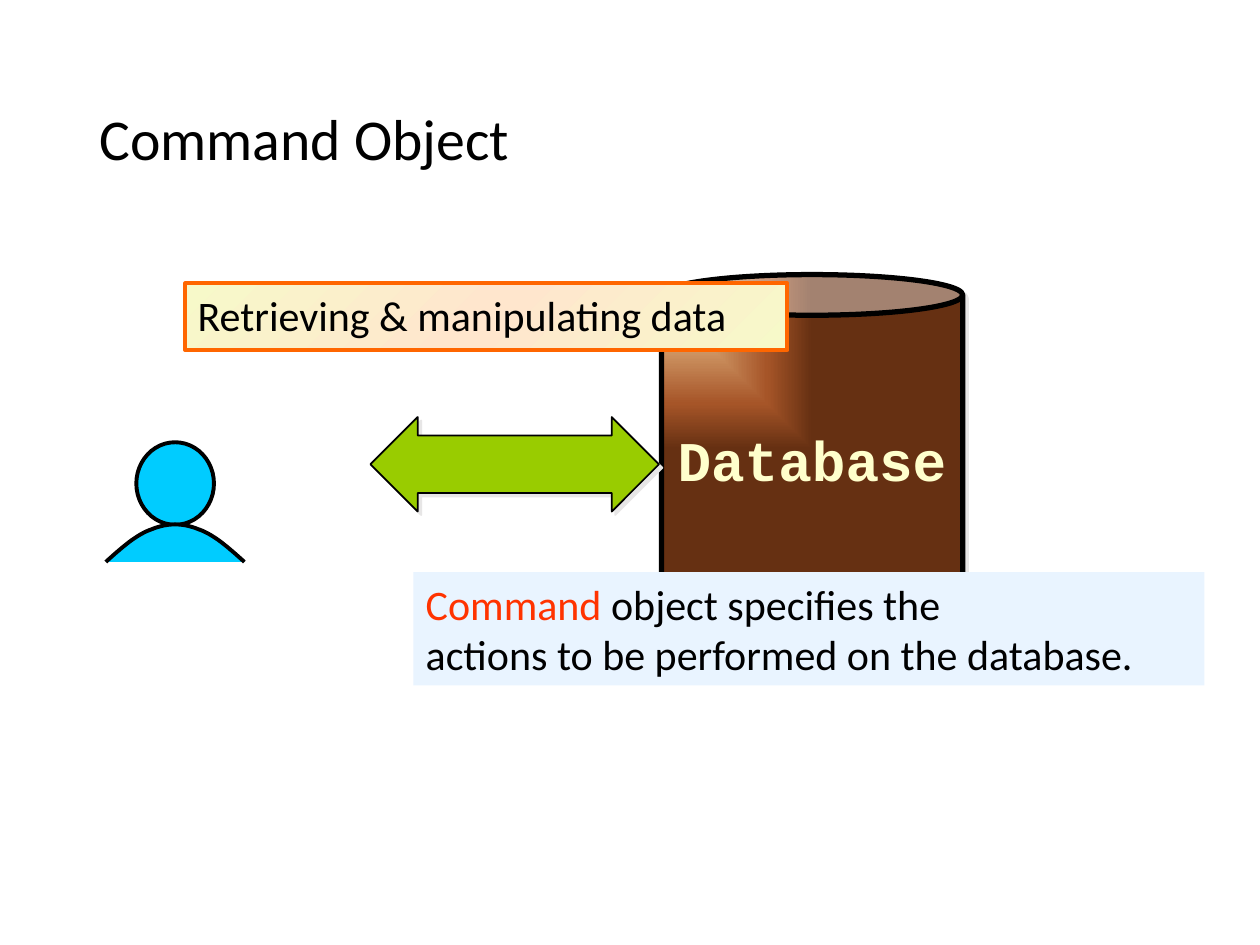
from lxml import etree
from pptx import Presentation
from pptx.dml.color import RGBColor
from pptx.enum.shapes import MSO_SHAPE
from pptx.enum.text import MSO_ANCHOR, PP_ALIGN
from pptx.oxml import parse_xml
from pptx.oxml.ns import nsdecls, qn
from pptx.util import Inches, Pt

LEFT, CENTER = PP_ALIGN.LEFT, PP_ALIGN.CENTER
TOP, MIDDLE = MSO_ANCHOR.TOP, MSO_ANCHOR.MIDDLE
CAN, OVAL = MSO_SHAPE.CAN, MSO_SHAPE.OVAL
RECT, DOUBLE_ARROW = MSO_SHAPE.RECTANGLE, MSO_SHAPE.UP_DOWN_ARROW

COLS, ROWS = 100, 75
BLACK, CYAN, GREEN = "000000", "00CCFF", "99CC00"
RED, ORANGE, CREAM, PALE_BLUE = "FF3300", "FF6600", "FFFFCC", "E9F4FF"
SHADOW = "E7E6E6"
BROWNS = [(0, "D6B19C"), (30, "D49E6C"), (70, "A65528"), (100, "663012")]
PASTELS = [(0, "F7F9C9"), (50, "FFE6CD"), (100, "F7F9C9")]
DIAGONAL = '<a:lin ang="2700000" scaled="1"/>'
FROM_CORNER = '<a:path path="rect"><a:fillToRect r="100000" b="100000"/></a:path>'


def color(hex_string):
    return RGBColor.from_string(hex_string)


def cubic(p0, p1, p2, p3, steps=16):
    """Points along a Bezier segment, without its first point."""
    points = []
    for i in range(1, steps + 1):
        t = i / steps
        u = 1 - t
        points.append(tuple(u**3 * a + 3 * u * u * t * b + 3 * u * t * t * c + t**3 * d
                            for a, b, c, d in zip(p0, p1, p2, p3)))
    return points


def write(tf, lines, size=24, font="Calibri", fill=BLACK, bold=False,
          align=LEFT, anchor=TOP, spacing=None):
    """Each line is a list of runs: plain text or (text, colour)."""
    tf.word_wrap = True
    tf.vertical_anchor = anchor
    for i, runs in enumerate(lines):
        p = tf.add_paragraph() if i else tf.paragraphs[0]
        p.alignment = align
        p.line_spacing = spacing
        for run in runs:
            text, run_fill = (run, fill) if isinstance(run, str) else run
            r = p.add_run()
            r.text = text
            r.font.name, r.font.size, r.font.bold = font, Pt(size), bold
            r.font.color.rgb = color(run_fill)


class Deck:
    """Current slide, placed on a grid of COLS by ROWS cells."""

    def __init__(self):
        self.prs = Presentation()
        self.prs.slide_width, self.prs.slide_height = Inches(10), Inches(7.5)
        self.s = self.prs.slides.add_slide(self.prs.slide_layouts[5])

    def x(self, cols):
        return round(self.prs.slide_width * cols / COLS)

    def y(self, rows):
        return round(self.prs.slide_height * rows / ROWS)

    def box(self, left, top, width, height):
        return self.x(left), self.y(top), self.x(width), self.y(height)

    def title(self, text, *box):
        sp = self.s.shapes.title
        sp.left, sp.top, sp.width, sp.height = self.box(*box)
        write(sp.text_frame, [[text]], size=33, anchor=MIDDLE, spacing=0.9)

    def paint(self, sp, fill=None, line=None, width=1):
        sp.shadow.inherit = False
        if fill:
            sp.fill.solid()
            sp.fill.fore_color.rgb = color(fill)
        if line:
            sp.line.color.rgb = color(line)
            sp.line.width = Pt(width)
        else:
            sp.line.fill.background()
        return sp

    def shape(self, kind, *box, adjust=(), parent=None, **style):
        sp = (parent or self.s).shapes.add_shape(kind, *self.box(*box))
        for i, value in enumerate(adjust):
            sp.adjustments[i] = value
        return self.paint(sp, **style)

    def gradient(self, sp, stops, direction):
        sp.fill.background()
        old = sp._element.spPr.find(qn("a:noFill"))
        stop_xml = "".join(f'<a:gs pos="{pos * 1000}"><a:srgbClr val="{hex_string}"/></a:gs>'
                           for pos, hex_string in stops)
        old.getparent().replace(old, parse_xml(
            f'<a:gradFill {nsdecls("a")} rotWithShape="1">'
            f'<a:gsLst>{stop_xml}</a:gsLst>{direction}</a:gradFill>'))

    def drop_shadow(self, sp):
        effects = sp._element.spPr.find(qn("a:effectLst"))
        shadow = etree.SubElement(effects, qn("a:outerShdw"), dist=str(Pt(2.8)),
                                  dir="2700000", algn="ctr", rotWithShape="0")
        etree.SubElement(shadow, qn("a:srgbClr"), val=SHADOW)

    def person(self, left, top, width, height):
        group = self.s.shapes.add_group_shape()
        style = {"fill": CYAN, "line": BLACK, "width": 2.25}
        self.shape(OVAL, left + 0.22 * width, top, 0.56 * width, 0.69 * height,
                   parent=group, **style)
        base, crown = top + height, top + 0.64 * height
        bend = top + 0.73 * height
        xs = [left + width * i / 9 for i in range(10)]
        ys = [base, top + 0.88 * height, bend, bend, crown, crown]
        ys = [base, base - 1.1, base - 2.2, base - 2.6]
        rise = list(zip(xs[:4], ys))
        arch = list(zip(xs[3:7], [ys[3], base - 3.1, base - 3.1, ys[3]]))
        fall = list(zip(xs[6:], reversed(ys)))
        points = cubic(*rise) + cubic(*arch) + cubic(*fall)
        builder = group.shapes.build_freeform(self.x(left), self.y(base))
        builder.add_line_segments([(self.x(a), self.y(b)) for a, b in points], close=False)
        self.paint(builder.convert_to_shape(), **style)

    def database(self, text, *box):
        sp = self.shape(CAN, *box, adjust=[0.135], line=BLACK, width=3)
        self.gradient(sp, BROWNS, FROM_CORNER)
        self.drop_shadow(sp)
        write(sp.text_frame, [[text]], size=32, font="Courier New", fill=CREAM,
              bold=True, align=CENTER, anchor=MIDDLE)

    def arrow(self, *box):
        sp = self.shape(DOUBLE_ARROW, *box, adjust=[0.5, 0.61], fill=GREEN, line=BLACK)
        sp.rotation = 90
        self.drop_shadow(sp)

    def note(self, lines, *box, stops=None, **style):
        sp = self.shape(RECT, *box, **style)
        if stops:
            self.gradient(sp, stops, DIAGONAL)
        write(sp.text_frame, lines)


def main():
    deck = Deck()
    deck.title("Command Object", 6.9, 4, 86.2, 14.5)
    deck.person(8.4, 35.1, 11, 9.5)
    deck.database("Database", 52.5, 21.8, 23.9, 27.6)
    deck.arrow(37.1, 25.4, 7.5, 22.9)
    deck.note([[("Command", RED), " object specifies the"],
               ["actions to be performed on the database."]],
              32.8, 45.4, 62.8, 9, fill=PALE_BLUE)
    deck.note([["Retrieving & manipulating data"]], 14.7, 22.5, 47.8, 5.3,
              stops=PASTELS, line=ORANGE, width=2.25)
    deck.prs.save("out.pptx")


if __name__ == "__main__":
    main()
